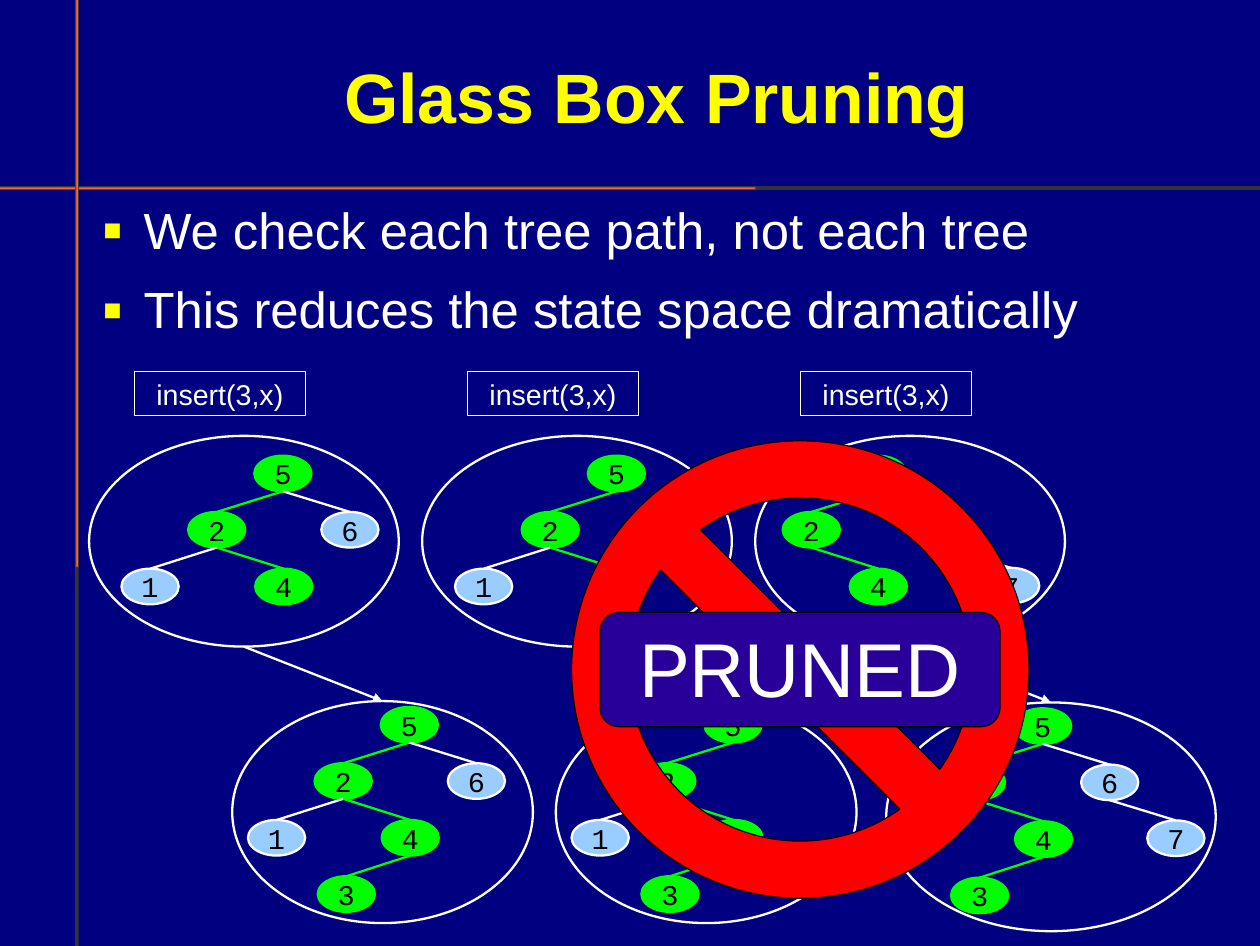
"""Build the Glass Box Pruning slide."""
from lxml import etree
from pptx import Presentation, util as u
from pptx.dml.color import RGBColor
from pptx.enum import shapes, text
from pptx.oxml.ns import qn

COLOURS = {
    "back": "000080", "title": "FFFF00", "white": "FFFFFF", "black": "000000",
    "path": "00FF00", "other": "99CCFF", "ban": "FF0000", "label": "280099",
    "rule": "FF6633", "rule_end": "333333",
}
PRESET = shapes.MSO_SHAPE
TREE_LINE = 1.45
NODE_W, NODE_H = 1.27, 0.79
NODE_OFFSETS = {
    "5": (0, 0), "2": (-1.47, 1.25), "6": (1.49, 1.25), "1": (-2.95, 2.51),
    "4": (0.02, 2.51), "3": (-1.4, 3.76), "7": (2.96, 2.49),
}
PARENTS = {"2": "5", "6": "5", "1": "2", "4": "2", "3": "4", "7": "6"}
PATH_NODES = "5243"
CASES = [
    {"before": "52614", "blank": "", "root": (5.65, 10.12), "after": "526143",
     "after_root": (8.46, 15.7), "after_oval": (5.16, 15.57, 6.68, 4.93)},
    {"before": "5214", "blank": "4", "root": (13.06, 10.12), "after": "52143",
     "after_root": (15.65, 15.7), "after_oval": (12.35, 15.57, 6.68, 4.93)},
    {"before": "52647", "blank": "56", "root": (18.86, 10.12), "after": "526437",
     "after_root": (22.53, 15.73), "after_oval": (19.69, 15.6, 7.32, 5.08)},
]


def colour(name):
    """Return the named colour."""
    return RGBColor.from_string(COLOURS[name])


def apply(target, values):
    """Set each named attribute of the target."""
    for name, value in values.items():
        setattr(target, name, value)


def write(holder, lines, size, ink, font="Arial", bold=False, insets=(0.25, 0.15, 0.25, 0.15),
          frame=None, paragraph=None):
    """Write formatted lines into a shape and return its paragraphs."""
    body = holder.text_frame
    sides = ("margin_left", "margin_top", "margin_right", "margin_bottom")
    apply(body, dict(zip(sides, map(u.Cm, insets))))
    apply(body, {"word_wrap": True, "vertical_anchor": text.MSO_ANCHOR.MIDDLE, **(frame or {})})
    body.text = "\n".join(lines)
    for line in body.paragraphs:
        apply(line, {"alignment": text.PP_ALIGN.CENTER, **(paragraph or {})})
        apply(line.runs[0].font, {"size": u.Pt(size), "name": font, "bold": bold})
        line.runs[0].font.color.rgb = colour(ink)
    return body.paragraphs


def add_outline(parts, preset, box, fill=None, line=None, width=TREE_LINE):
    """Add a preset shape with the given fill and line."""
    outline = parts.add_shape(preset, *map(u.Cm, box))
    outline.shadow.inherit = False
    if fill:
        outline.fill.solid()
        outline.fill.fore_color.rgb = colour(fill)
    else:
        outline.fill.background()
    if line:
        outline.line.color.rgb = colour(line)
        outline.line.width = u.Pt(width)
    else:
        outline.line.fill.background()
    return outline


def add_edge(parts, start, end, ink, arrow=False):
    """Add a straight line, with an arrowhead if wanted."""
    edge = parts.add_connector(shapes.MSO_CONNECTOR.STRAIGHT, *map(u.Cm, start + end))
    edge.line.color.rgb = colour(ink)
    edge.line.width = u.Pt(TREE_LINE)
    if arrow:
        etree.SubElement(edge.line._get_or_add_ln(), qn("a:tailEnd"), type="triangle")
    etree.SubElement(edge._element.spPr, qn("a:effectLst"))


def add_tree(parts, nodes, root, oval, blank=""):
    """Draw a tree from its root corner, inside its oval."""
    corners = {n: (root[0] + NODE_OFFSETS[n][0], root[1] + NODE_OFFSETS[n][1]) for n in nodes}
    for value, (left, top) in corners.items():
        on_path = value in PATH_NODES
        node = add_outline(parts, PRESET.OVAL, (left, top, NODE_W, NODE_H),
                           "path" if on_path else "other", "path" if on_path else "white")
        if value not in blank:
            write(node, [value], 18, "black", "Courier New", frame={"word_wrap": False})
        if value in PARENTS:
            parent_left, parent_top = corners[PARENTS[value]]
            add_edge(parts, (parent_left + NODE_W / 2, parent_top + NODE_H),
                     (left + NODE_W / 2, top), "path" if on_path else "white")
    add_outline(parts, PRESET.OVAL, oval, line="white")


def add_case(slide, case, left, top):
    """Draw one insert call with its trees before and after."""
    parts = slide.shapes.add_group_shape().shapes
    call = add_outline(parts, PRESET.RECTANGLE, (left + 1, top, 3.81, 0.96), line="white", width=0.75)
    write(call, ["insert(3,x)"], 18, "white", insets=(0.25, 0.17, 0.25, 0.13),
          frame={"vertical_anchor": text.MSO_ANCHOR.TOP}, paragraph={"line_spacing": 0.93})
    oval = (left, top + 1.42, 6.88, 4.68)
    add_tree(parts, case["before"], case["root"], oval, case["blank"])
    add_tree(parts, case["after"], case["after_root"], case["after_oval"])
    after_left, after_top, after_width, _ = case["after_oval"]
    add_edge(parts, (left + oval[2] / 2, oval[1] + oval[3]),
             (after_left + after_width / 2, after_top), "white", arrow=True)


def add_rule(slide, box, focus, rotation=0):
    """Draw a thin rule that shades from its focus outward."""
    rule = add_outline(slide.shapes, PRESET.RECTANGLE, box)
    rule.rotation = rotation
    props = rule._element.spPr
    shade = etree.Element(qn("a:gradFill"))
    stops = etree.SubElement(shade, qn("a:gsLst"))
    for position, name in ((0, "rule"), (100, "rule_end")):
        stop = etree.SubElement(stops, qn("a:gs"), pos=str(position * 1000))
        etree.SubElement(stop, qn("a:srgbClr"), val=COLOURS[name])
    outward = etree.SubElement(shade, qn("a:path"), {"path": "shape"})
    etree.SubElement(outward, qn("a:fillToRect"),
                     {side: str(share * 1000) for side, share in zip("ltrb", focus)})
    props.replace(props.find(qn("a:noFill")), shade)


def add_title(slide, box):
    """Write the title in its box."""
    title = slide.shapes.add_textbox(*map(u.Cm, box))
    write(title, ["Glass Box Pruning"], 44, "title", bold=True, insets=(0, 0.1, 0, 0),
          paragraph={"line_spacing": 0.93})


def add_points(slide, box):
    """Write the square-bulleted points in their box."""
    points = slide.shapes.add_textbox(*map(u.Cm, box))
    lines = ["We check each tree path, not each tree", "This reduces the state space dramatically"]
    for point in write(points, lines, 32, "white", insets=(0, 0.08, 0, 0),
                       frame={"vertical_anchor": text.MSO_ANCHOR.TOP},
                       paragraph={"alignment": text.PP_ALIGN.LEFT, "line_spacing": 0.93,
                                  "space_after": u.Pt(14.2)}):
        props = point._p.get_or_add_pPr()
        props.set("marL", str(u.Cm(1.19)))
        props.set("indent", str(u.Cm(-0.89)))
        bullet_colour = etree.SubElement(props, qn("a:buClr"))
        etree.SubElement(bullet_colour, qn("a:srgbClr"), val=COLOURS["title"])
        etree.SubElement(props, qn("a:buSzPct"), val="60000")
        etree.SubElement(props, qn("a:buFont"), typeface="Arial")
        etree.SubElement(props, qn("a:buChar"), char="■")


def add_ban(slide, left, top, size):
    """Draw the ban sign with its label across the middle."""
    parts = slide.shapes.add_group_shape().shapes
    sign = add_outline(parts, PRESET.NO_SYMBOL, (left, top, size, size), "ban", "black", 0.75)
    sign.adjustments[0] = 0.125
    label = add_outline(parts, PRESET.ROUNDED_RECTANGLE,
                        (left + 0.63, top + 3.81, size - 1.27, 2.54), "label", "black", 0.75)
    write(label, ["PRUNED"], 48, "white", insets=(0.25, 0.25, 0.25, 0.13),
          frame={"word_wrap": False}, paragraph={"line_spacing": 0.93})


def main():
    """Build and save the slide."""
    deck = Presentation()
    apply(deck, {"slide_width": u.Pt(793.5), "slide_height": u.Pt(595.5)})
    width, height = deck.slide_width.cm, deck.slide_height.cm
    slide = deck.slides.add_slide(deck.slide_layouts[6])
    slide.background.fill.solid()
    slide.background.fill.fore_color.rgb = colour("back")
    add_rule(slide, (0, 4.14, width, 0.08), (10, 50, 90, 50))
    add_rule(slide, (1.71 - height / 2, height / 2 - 0.04, height, 0.08), (50, 10, 50, 90), 270)
    add_title(slide, (2, 0.43, 25.2, 3.51))
    for column in reversed(range(len(CASES))):
        add_case(slide, CASES[column], 1.98 + 7.4 * column, 8.26)
    add_ban(slide, 12.7, 9.79, 10.16)
    add_points(slide, (2, 4.45, 25.2, 13.87))
    deck.save("out.pptx")


if __name__ == "__main__":
    main()
